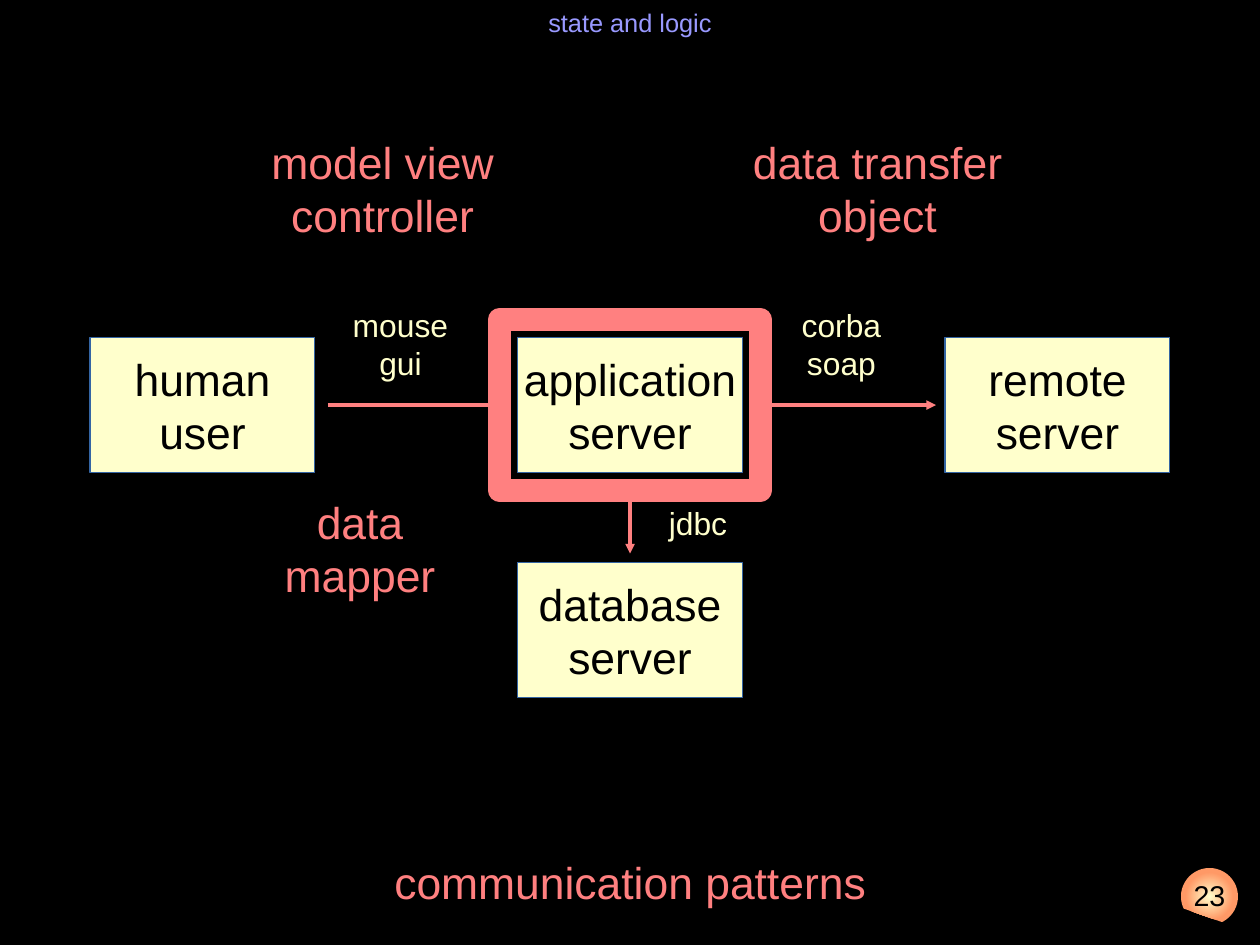
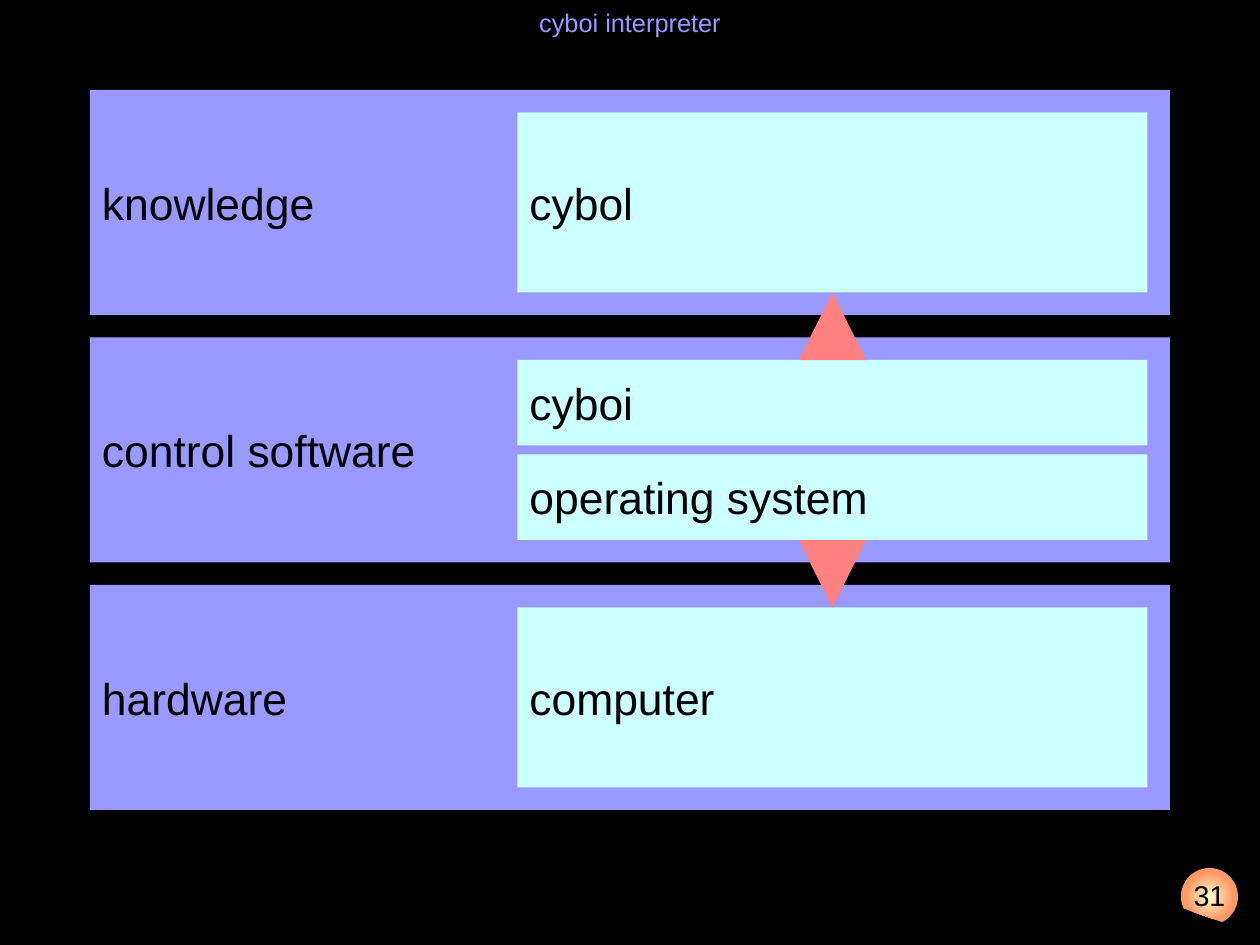
from lxml import etree
from pptx import Presentation
from pptx.dml.color import RGBColor
from pptx.enum.shapes import MSO_CONNECTOR, MSO_SHAPE
from pptx.enum.text import MSO_ANCHOR, PP_ALIGN
from pptx.oxml.ns import qn
from pptx.util import Emu, Pt

# Page, in px
WIDTH, HEIGHT, MARGIN = 1260, 945, 90
SCALE = 8000
FONT = "Arial"

# Palette
BLACK, WHITE = "000000", "FFFFFF"
CREAM, ORANGE, CORAL = "FFFFCC", "FF9966", "FF8080"
LILAC, AQUA, EDGE = "9999FF", "CCFFFF", "3465A4"
THICK = 14.17

# Content: state and logic
NODE_W, NODE_H, NODE_TOP = 225, 135, 337.5
COLUMN_STEP = (WIDTH - 2 * MARGIN - NODE_W) / 2
ROW_STEP = 225
NODES = {  # name: (column, row, lines)
    "user": (0, 0, ["human", "user"]),
    "application": (1, 0, ["application", "server"]),
    "remote": (2, 0, ["remote", "server"]),
    "database": (1, 1, ["database", "server"]),
}
FLOWS = [("user", "application"), ("application", "remote"), ("application", "database")]
FLOW_START_GAP, FLOW_END_GAP, FRAME_GAP = 13, 9, 18
PROTOCOLS = [
    (["mouse", "gui"], (333, 306, 135, 112)),
    (["corba", "soap"], (774, 306, 135, 112)),
    (["jdbc"], (653, 504, 90, 67)),
]
PATTERNS = [
    (["model view controller"], (225, 135, 315, 135)),
    (["data transfer", "object"], (720, 135, 315, 135)),
    (["data", "mapper"], (225, 495, 270, 135)),
]
SUMMARY = "communication patterns"

# Content: cyboi interpreter
LAYERS = [
    ("knowledge", ["cybol"]),
    ("control software", ["cyboi", "operating system"]),
    ("hardware", ["computer"]),
]
LAYER_H, LAYERS_H, PART_GAP, LABEL_INSET = 225, 720, 9, 12


def px(value):
    return Emu(int(value * SCALE))


def rgb(hex_text):
    return RGBColor.from_string(hex_text)


def add_xml(parent, tag, **attributes):
    return etree.SubElement(parent, qn(tag), attributes)


def write(shape, lines, size, color, align=PP_ALIGN.CENTER, anchor=MSO_ANCHOR.TOP, inset=0):
    frame = shape.text_frame
    frame.word_wrap = True
    frame.vertical_anchor = anchor
    frame.margin_left = px(inset)
    frame.margin_top = frame.margin_right = frame.margin_bottom = 0
    frame.text = "\n".join(lines)
    for paragraph in frame.paragraphs:
        paragraph.alignment = align
        font = paragraph.font
        font.name, font.size = FONT, Pt(size)
        font.color.rgb = rgb(color)


def add_text(slide, box, lines, size, color, **options):
    write(slide.shapes.add_textbox(*map(px, box)), lines, size, color, **options)


def add_shape(slide, box, fill=None, line=None, line_width=0, kind=MSO_SHAPE.RECTANGLE):
    shape = slide.shapes.add_shape(kind, *map(px, box))
    shape.shadow.inherit = False
    if fill:
        shape.fill.solid()
        shape.fill.fore_color.rgb = rgb(fill)
    else:
        shape.fill.background()
    if line:
        shape.line.color.rgb = rgb(line)
        shape.line.width = Pt(line_width)
    else:
        shape.line.fill.background()
    return shape


def add_arrow(slide, start, end, line_width=0):
    arrow = slide.shapes.add_connector(MSO_CONNECTOR.STRAIGHT, *map(px, (*start, *end)))
    arrow.line.color.rgb = rgb(CORAL)
    arrow.line.width = Pt(line_width)
    add_xml(arrow.line._get_or_add_ln(), "a:tailEnd", type="triangle")
    add_xml(arrow._element.spPr, "a:effectLst")


def add_page(prs, title, number):
    slide = prs.slides.add_slide(prs.slide_layouts[6])
    # Page number on a cut disc
    disc = add_shape(slide, (1181, 868, 57, 57), kind=MSO_SHAPE.CHORD)
    disc.adjustments[0], disc.adjustments[1] = 92.97, 38.29
    disc.fill.gradient()
    for stop, (position, color) in zip(disc.fill.gradient_stops, [(0, CREAM), (0.6, ORANGE)]):
        stop.position = position
        stop.color.rgb = rgb(color)
    gradient = disc._element.spPr.find(qn("a:gradFill"))
    gradient.remove(gradient.find(qn("a:lin")))
    glow = add_xml(gradient, "a:path", path="circle")
    add_xml(glow, "a:fillToRect", l="50000", t="50000", r="50000", b="50000")
    add_text(slide, (1178, 878, 63, 45), [number], 18, BLACK)
    add_text(slide, (0, 0, WIDTH, 45), [title], 16, LILAC, anchor=MSO_ANCHOR.MIDDLE)
    return slide


def add_summary(slide):
    box = slide.shapes.add_textbox(*map(px, (MARGIN, 855, WIDTH - 2 * MARGIN, 67)))
    paragraph = box.text_frame.paragraphs[0]
    paragraph.level = 1
    properties = paragraph._p.get_or_add_pPr()
    properties.set("marL", str(px(54)))
    properties.set("indent", str(px(-27)))
    add_xml(add_xml(properties, "a:buClr"), "a:srgbClr", val=WHITE)
    add_xml(properties, "a:buSzPct", val="45000")
    add_xml(properties, "a:buChar", char="●")
    write(box, [SUMMARY], 28, CORAL)


def node_corner(name):
    column, row, _ = NODES[name]
    return MARGIN + column * COLUMN_STEP, NODE_TOP + row * ROW_STEP


def build_state_and_logic(prs):
    slide = add_page(prs, "state and logic", "23")
    for name, (_, _, lines) in NODES.items():
        node = add_shape(slide, (*node_corner(name), NODE_W, NODE_H), CREAM, EDGE)
        write(node, lines, 28, BLACK, anchor=MSO_ANCHOR.MIDDLE)
    for source, target in FLOWS:
        (x1, y1), (x2, y2) = node_corner(source), node_corner(target)
        if y1 == y2:
            middle = y1 + NODE_H / 2
            start = x1 + NODE_W + FLOW_START_GAP, middle
            end = x2 - FLOW_END_GAP, middle
        else:
            middle = x1 + NODE_W / 2
            start = middle, y1 + NODE_H + FLOW_START_GAP
            end = middle, y2 - FLOW_END_GAP
        add_arrow(slide, start, end)
    for labels, size, color in [(PROTOCOLS, 20, CREAM), (PATTERNS, 28, CORAL)]:
        for lines, box in labels:
            add_text(slide, box, lines, size, color)
    add_summary(slide)

    # Frame around the application server
    left, top = node_corner("application")
    frame = add_shape(
        slide,
        (left - FRAME_GAP, top - FRAME_GAP, NODE_W + 2 * FRAME_GAP, NODE_H + 2 * FRAME_GAP),
        line=CORAL, line_width=THICK)
    add_xml(frame.line._get_or_add_ln(), "a:round")


def build_interpreter(prs):
    slide = add_page(prs, "cyboi interpreter", "31")
    gap = (LAYERS_H - len(LAYERS) * LAYER_H) / (len(LAYERS) - 1)
    part_left = MARGIN + COLUMN_STEP
    part_w = WIDTH - MARGIN - gap - part_left
    parts_h = LAYER_H - 2 * gap
    tops = [MARGIN + i * (LAYER_H + gap) for i in range(len(LAYERS))]

    def add_block(box, label, fill):
        write(add_shape(slide, box, fill), [label], 28, BLACK, align=PP_ALIGN.LEFT,
              anchor=MSO_ANCHOR.MIDDLE, inset=LABEL_INSET)

    for top, (layer, parts) in zip(tops, LAYERS):
        add_block((MARGIN, top, WIDTH - 2 * MARGIN, LAYER_H), layer, LILAC)
        part_h = (parts_h - (len(parts) - 1) * PART_GAP) / len(parts)
        for i, part in enumerate(parts):
            part_top = top + gap + i * (part_h + PART_GAP)
            add_block((part_left, part_top, part_w, part_h), part, AQUA)

    # Arrows from the control software to its neighbours
    middle = part_left + part_w / 2
    upper, control, lower = (top + gap for top in tops)
    add_arrow(slide, (middle, control + parts_h), (middle, lower), THICK)
    add_arrow(slide, (middle, control), (middle, upper + parts_h), THICK)


def main():
    prs = Presentation()
    prs.slide_width, prs.slide_height = px(WIDTH), px(HEIGHT)
    backdrop = prs.slide_master.background.fill
    backdrop.solid()
    backdrop.fore_color.rgb = rgb(BLACK)
    build_state_and_logic(prs)
    build_interpreter(prs)
    prs.save("out.pptx")


if __name__ == "__main__":
    main()
